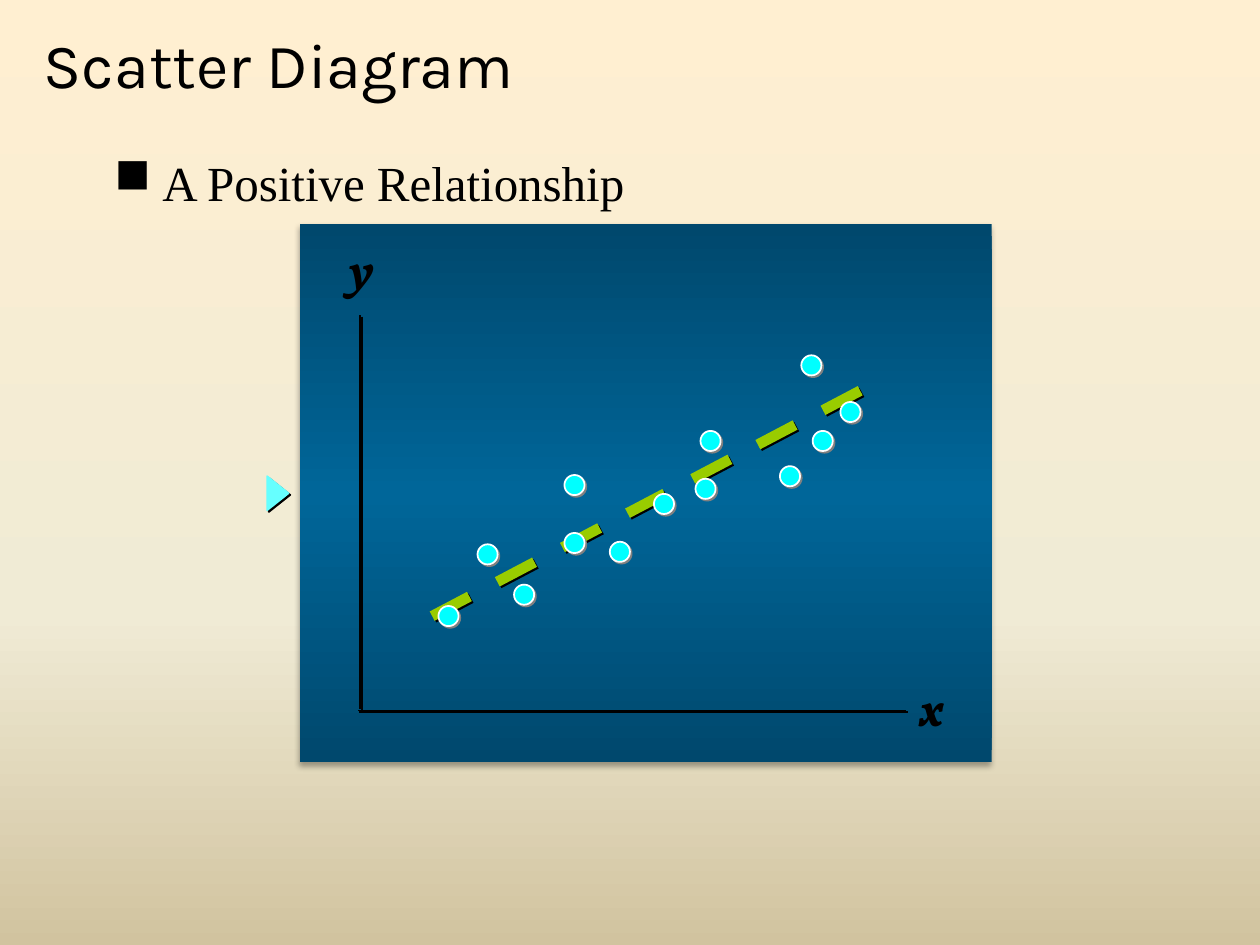
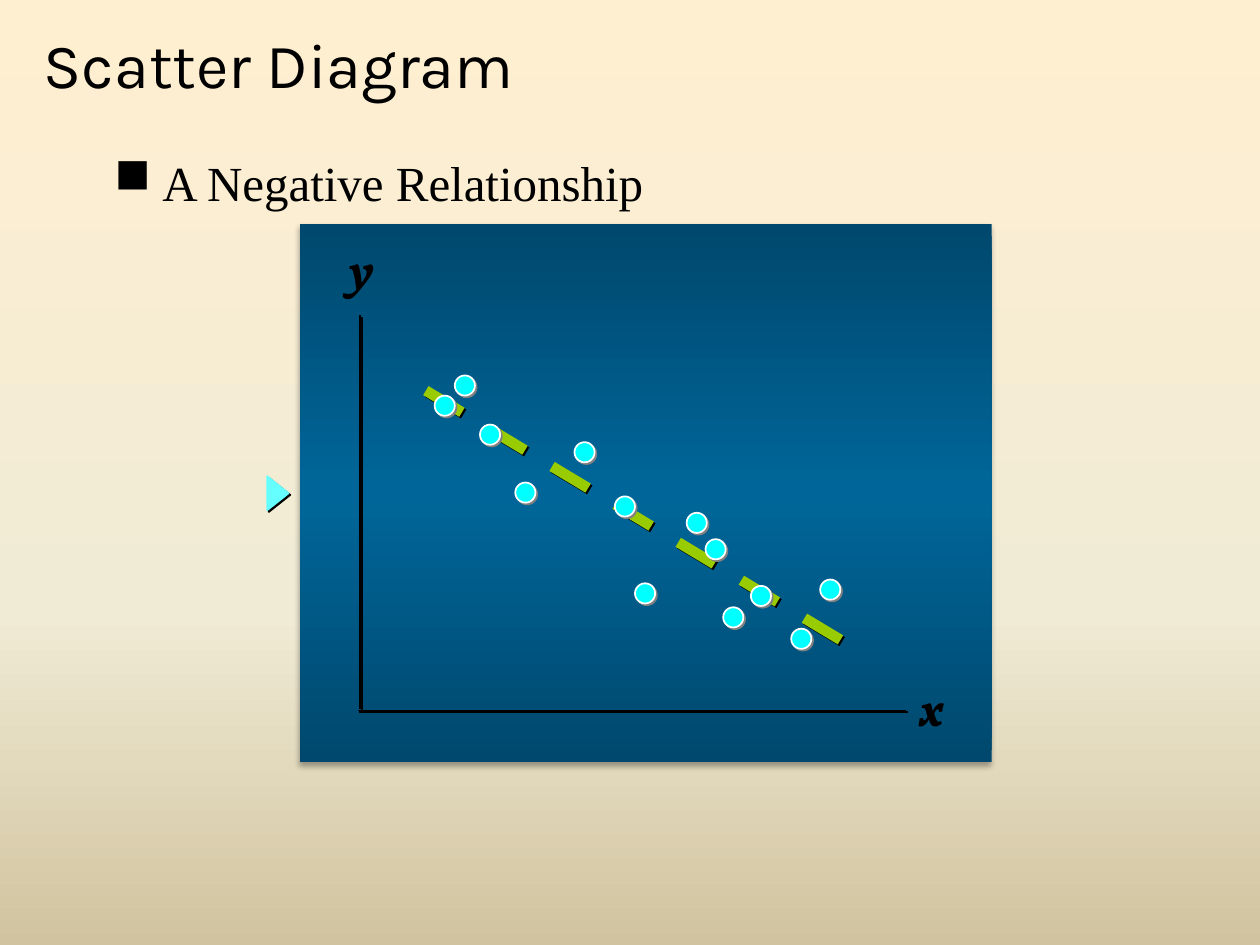
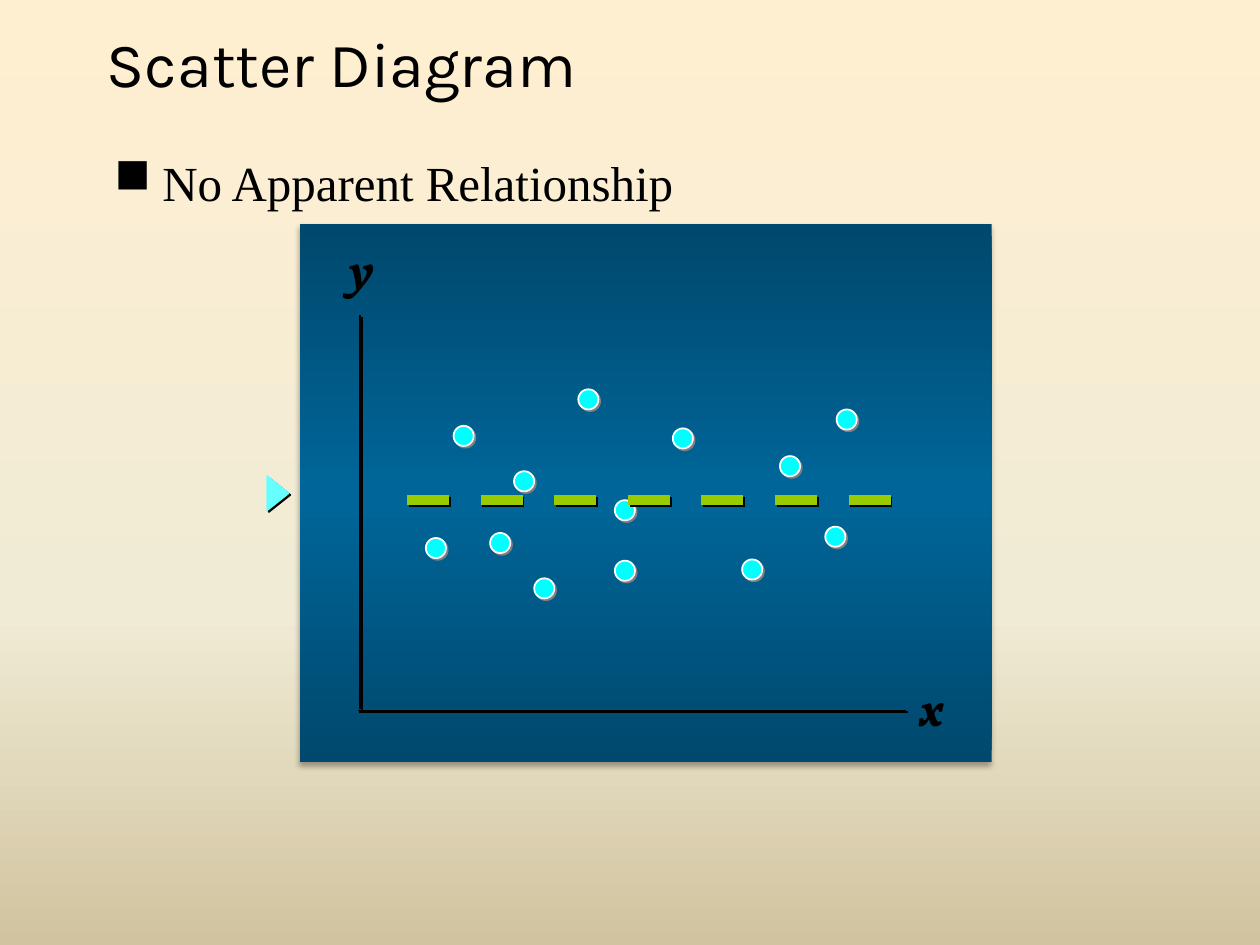
from lxml import etree
from pptx import Presentation
from pptx.dml.color import RGBColor
from pptx.enum import dml, shapes, text
from pptx.oxml import ns
from pptx.util import Inches, Pt

BLACK, WHITE, GREY = "000000", "FFFFFF", "808080"
POINT_FILL, POINTER_FILL, TREND_COLOUR = "00FFFF", "66FFFF", "99CC00"
# Gradient stops: percent, colour, percent of shade (100 leaves the colour as it is)
BACKGROUND = [(0, "FFEFD1", 100), (65, "F0EBD5", 100), (100, "D1C39F", 100)]
PANEL = [(0, "006699", 46.275), (50, "006699", 100), (100, "006699", 46.275)]

PANEL_BOX = (2.38, 1.78, 5.49, 4.27)
POINTER_BOX = (2.07, 3.83, 0.27, 0.17)
POINT_SIZE = 0.16
WIDE_TITLE = (0.25, 0.17, 9.58, 0.67)
INSET_TITLE = (0.75, 0.02, 8.5, 0.95)
HEADING_BOX = (0.81, 1.16, 6.06, 0.59)
AXES = [((2.86, 2.5), (2.86, 5.63)), ((7.19, 5.64), (2.84, 5.64))]
AXIS_LABELS = [("x", (7.2, 5.33, 0.39, 0.56)), ("y", (2.67, 1.84, 0.41, 0.56))]

DIAGRAMS = [
    {
        "heading": "A Positive Relationship",
        "title_box": WIDE_TITLE,
        "trend": ((3.43, 4.89), (7, 3.01)),
        "trend_on_top": False,
        "points": [
            (4.48, 3.77), (6.19, 3.7), (3.79, 4.32), (3.48, 4.81), (4.08, 4.64),
            (6.36, 2.82), (4.48, 4.23), (5.56, 3.42), (6.45, 3.42), (6.67, 3.19),
            (4.84, 4.3), (5.19, 3.92), (5.52, 3.8),
        ],
    },
    {
        "heading": "A Negative Relationship",
        "title_box": WIDE_TITLE,
        "trend": ((3.38, 3.1), (6.84, 5.18)),
        "trend_on_top": False,
        "points": [
            (5.04, 4.63), (4.88, 3.94), (4.09, 3.83), (3.45, 3.14), (3.81, 3.37),
            (5.6, 4.28), (5.96, 4.65), (4.56, 3.51), (3.61, 2.98), (6.51, 4.6),
            (6.28, 4.99), (5.45, 4.07), (5.74, 4.82),
        ],
    },
    {
        "heading": "No Apparent Relationship",
        "title_box": INSET_TITLE,
        "trend": ((3.23, 3.97), (7.3, 3.97)),
        "trend_on_top": True,
        "points": [
            (6.64, 3.25), (6.55, 4.18), (4.59, 3.09), (3.89, 4.23), (3.38, 4.27),
            (5.34, 3.4), (4.88, 3.97), (6.19, 3.62), (4.08, 3.74), (4.24, 4.59),
            (3.6, 3.38), (4.88, 4.45), (5.89, 4.44),
        ],
    },
]


def rgb(colour):
    return RGBColor.from_string(colour)


def add_xml(parent, tag, **attributes):
    element = etree.SubElement(parent, ns.qn(tag))
    for name, value in attributes.items():
        element.set(name, str(value))
    return element


def set_gradient(fill, owner, stops):
    """Fill from top to bottom; owner is the XML element that holds the fill."""
    fill.gradient()
    fill.gradient_angle = 270
    stop_list = owner.find(".//" + ns.qn("a:gsLst"))
    for stop in list(stop_list):
        stop_list.remove(stop)
    for position, colour, shade in stops:
        stop = add_xml(stop_list, "a:gs", pos=position * 1000)
        colour_element = add_xml(stop, "a:srgbClr", val=colour)
        if shade < 100:
            add_xml(colour_element, "a:shade", val=round(shade * 1000))


def add_shadow(shape, colour=BLACK, opacity=100, blur=0, distance=1.4, angle=45):
    effects = add_xml(shape.element.spPr, "a:effectLst")
    shadow = add_xml(effects, "a:outerShdw", blurRad=Pt(blur), dist=Pt(distance),
                     dir=angle * 60000, algn="ctr", rotWithShape=0)
    add_xml(add_xml(shadow, "a:srgbClr", val=colour), "a:alpha", val=opacity * 1000)


def add_filled_shape(slide, kind, box, fill, line):
    shape = slide.shapes.add_shape(kind, *map(Inches, box))
    shape.fill.solid()
    shape.fill.fore_color.rgb = rgb(fill)
    shape.line.color.rgb = rgb(line)
    shape.line.width = Pt(1)
    return shape


def add_line(slide, ends, colour=BLACK, width=1, dash=None):
    start, end = ends
    line = slide.shapes.add_connector(
        shapes.MSO_CONNECTOR.STRAIGHT, *map(Inches, start + end))
    line.line.color.rgb = rgb(colour)
    line.line.width = Pt(width)
    line.line.dash_style = dash
    add_shadow(line)


def add_text(slide, words, box, font, size, wrap=True):
    frame = slide.shapes.add_textbox(*map(Inches, box)).text_frame
    frame.word_wrap = wrap
    paragraph = frame.paragraphs[0]
    paragraph.text = words
    paragraph.font.name = font
    paragraph.font.size = Pt(size)
    paragraph.font.color.rgb = rgb(BLACK)
    return frame


def add_panel(slide):
    panel = slide.shapes.add_shape(
        shapes.MSO_SHAPE.RECTANGLE, *map(Inches, PANEL_BOX))
    set_gradient(panel.fill, panel.element.spPr, PANEL)
    panel.line.fill.background()
    add_shadow(panel, opacity=32, blur=3.5, distance=2.2, angle=90)


def add_headings(slide, diagram):
    title = add_text(slide, "Scatter Diagram", diagram["title_box"], "Karla", 36)
    title.vertical_anchor = text.MSO_ANCHOR.MIDDLE
    heading = add_text(slide, diagram["heading"], HEADING_BOX, "Times New Roman", 28)
    paragraph = heading.paragraphs[0]
    paragraph.space_before = Pt(5.6)
    properties = paragraph._p.get_or_add_pPr()
    properties.set("marL", str(Inches(0.38)))
    properties.set("indent", str(-Inches(0.38)))
    add_xml(properties, "a:buChar", char="■")
    # Bullets must come before the default run properties
    properties.append(properties.find(ns.qn("a:defRPr")))


def add_axes(slide):
    for axis in AXES:
        add_line(slide, axis)
    for name, box in AXIS_LABELS:
        label = add_text(slide, name, box, "Vollkorn", 28, wrap=False)
        label.auto_size = text.MSO_AUTO_SIZE.SHAPE_TO_FIT_TEXT
        label.paragraphs[0].font.bold = True
        label.paragraphs[0].font.italic = True


def add_points(slide, points):
    for left, top in points:
        point = add_filled_shape(slide, shapes.MSO_SHAPE.OVAL,
                                 (left, top, POINT_SIZE, POINT_SIZE), POINT_FILL, WHITE)
        add_shadow(point, GREY)


def add_pointer(slide):
    pointer = add_filled_shape(slide, shapes.MSO_SHAPE.ISOSCELES_TRIANGLE,
                               POINTER_BOX, POINTER_FILL, POINTER_FILL)
    pointer.rotation = 90
    add_shadow(pointer)


def add_trend(slide, ends):
    add_line(slide, ends, TREND_COLOUR, 6, dml.MSO_LINE.DASH)


def add_diagram_slide(presentation, diagram):
    slide = presentation.slides.add_slide(presentation.slide_layouts[6])
    set_gradient(slide.background.fill, slide.element, BACKGROUND)
    add_panel(slide)
    if not diagram["trend_on_top"]:
        add_trend(slide, diagram["trend"])
    add_headings(slide, diagram)
    add_axes(slide)
    add_points(slide, diagram["points"])
    add_pointer(slide)
    if diagram["trend_on_top"]:
        add_trend(slide, diagram["trend"])


def main():
    presentation = Presentation()
    presentation.slide_width = Inches(10)
    presentation.slide_height = Inches(7.5)
    for diagram in DIAGRAMS:
        add_diagram_slide(presentation, diagram)
    presentation.save("out.pptx")


if __name__ == "__main__":
    main()
